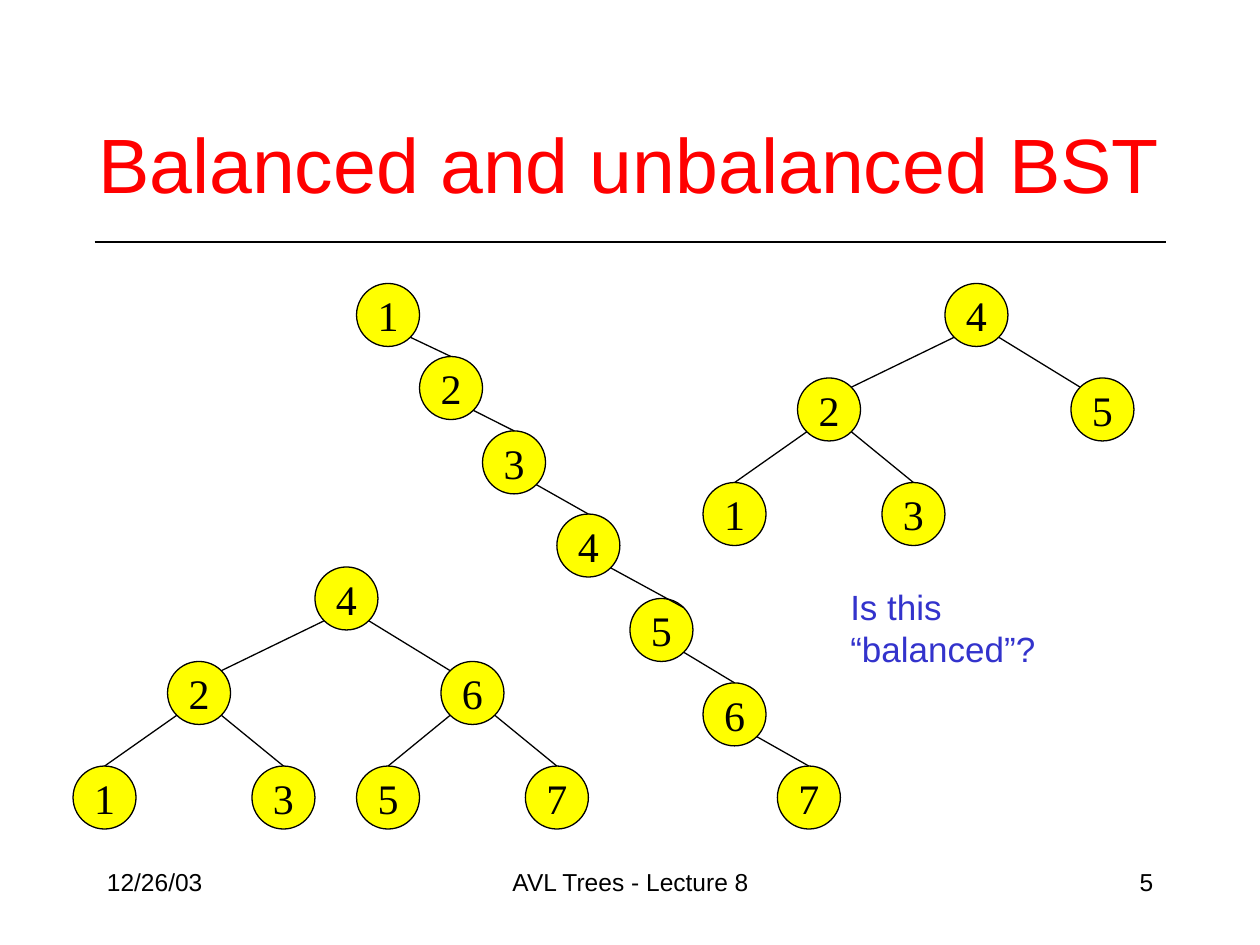
from math import sqrt

from lxml.etree import SubElement
from pptx import Presentation
from pptx.dml.color import RGBColor
from pptx.enum.shapes import MSO_CONNECTOR, MSO_SHAPE
from pptx.enum.text import MSO_ANCHOR, PP_ALIGN
from pptx.oxml.ns import qn
from pptx.util import Inches, Pt

COLORS = {"title": "FF0000", "ink": "000000", "node": "FFFF00", "question": "3333CC"}
TITLE = "Balanced and unbalanced BST"
QUESTION = "Is this “balanced”?"
FOOTER = [
    ("12/26/03", 0.75, 2.08, PP_ALIGN.LEFT),
    ("AVL Trees - Lecture 8", 3.42, 3.17, PP_ALIGN.CENTER),
    ("5", 7.17, 2.08, PP_ALIGN.RIGHT),
]
TREES = [
    {
        "nodes": {4: (7.5, 2.25), 2: (6.33, 3), 5: (8.5, 3), 1: (5.58, 3.83), 3: (7, 3.83)},
        "edges": [(4, 2, "upper right"), (4, 5, "upper left"), (2, 1, "top"), (2, 3, "top")],
    },
    {
        "nodes": {1: (2.83, 2.25), 2: (3.33, 2.83), 3: (3.83, 3.42), 4: (4.42, 4.08),
                  5: (5, 4.75), 6: (5.58, 5.42), 7: (6.17, 6.08)},
        "edges": [(1, 2, "top"), (2, 3, "top"), (3, 4, "top"),
                  (4, 5, "upper right"), (5, 6, "top"), (6, 7, "top")],
    },
    {
        "nodes": {4: (2.5, 4.5), 2: (1.33, 5.25), 6: (3.5, 5.25), 1: (0.58, 6.08),
                  3: (2, 6.08), 5: (2.83, 6.08), 7: (4.17, 6.08)},
        "edges": [(4, 2, "upper right"), (4, 6, "upper left"), (2, 1, "top"),
                  (2, 3, "top"), (6, 5, "top"), (6, 7, "top")],
    },
]
DIAMETER = 0.5
RADIUS = DIAMETER / 2
DIAGONAL = RADIUS / sqrt(2)
ANCHORS = {
    "top": (0, -RADIUS),
    "upper left": (-DIAGONAL, -DIAGONAL),
    "upper right": (DIAGONAL, -DIAGONAL),
    "lower left": (-DIAGONAL, DIAGONAL),
    "lower right": (DIAGONAL, DIAGONAL),
}


def rgb(name):
    return RGBColor.from_string(COLORS[name])


def write(frame, text, size, color, align=PP_ALIGN.LEFT, font="Arial",
          anchor=MSO_ANCHOR.TOP, wrap=True):
    frame.word_wrap = wrap
    frame.vertical_anchor = anchor
    paragraph = frame.paragraphs[0]
    paragraph.alignment = align
    run = paragraph.add_run()
    run.text = text
    run.font.size = Pt(size)
    run.font.name = font
    run.font.color.rgb = rgb(color)


def add_label(left, top, width, height, *args):
    label = slide.shapes.add_textbox(Inches(left), Inches(top), Inches(width), Inches(height))
    write(label.text_frame, *args)


def add_line(start, end):
    line = slide.shapes.add_connector(
        MSO_CONNECTOR.STRAIGHT, *(Inches(value) for value in (*start, *end)))
    line.line.color.rgb = rgb("ink")
    line.line.width = Pt(0.75)
    SubElement(line.element.spPr, qn("a:effectLst"))


def add_node(key, left, top):
    node = slide.shapes.add_shape(
        MSO_SHAPE.OVAL, Inches(left), Inches(top), Inches(DIAMETER), Inches(DIAMETER))
    node.shadow.inherit = False
    node.fill.solid()
    node.fill.fore_color.rgb = rgb("node")
    node.line.color.rgb = rgb("ink")
    node.line.width = Pt(0.75)
    write(node.text_frame, str(key), 24, "ink", PP_ALIGN.CENTER,
          "Times New Roman", MSO_ANCHOR.MIDDLE, False)


def anchor_point(corner, side):
    return tuple(start + RADIUS + shift for start, shift in zip(corner, ANCHORS[side]))


deck = Presentation()
deck.slide_width, deck.slide_height = Inches(10), Inches(7.5)
slide = deck.slides.add_slide(deck.slide_layouts[5])

title = slide.shapes.title
title.left, title.top = Inches(0.58), Inches(0.67)
title.width, title.height = Inches(8.83), Inches(1.25)
write(title.text_frame, TITLE, 44, "title", PP_ALIGN.CENTER, anchor=MSO_ANCHOR.MIDDLE)
add_line((0.75, 1.92), (9.25, 1.92))

for text, left, width, align in FOOTER:
    add_label(left, 6.83, width, 0.5, text, 14, "ink", align)

for tree in TREES:
    nodes = tree["nodes"]
    for key, corner in nodes.items():
        add_node(key, *corner)
    for parent, child, child_side in tree["edges"]:
        parent_side = "lower left" if child < parent else "lower right"
        add_line(anchor_point(nodes[parent], parent_side),
                 anchor_point(nodes[child], child_side))

add_label(6.65, 4.6, 2.4, 0.75, QUESTION, 20, "question")

deck.save("out.pptx")
